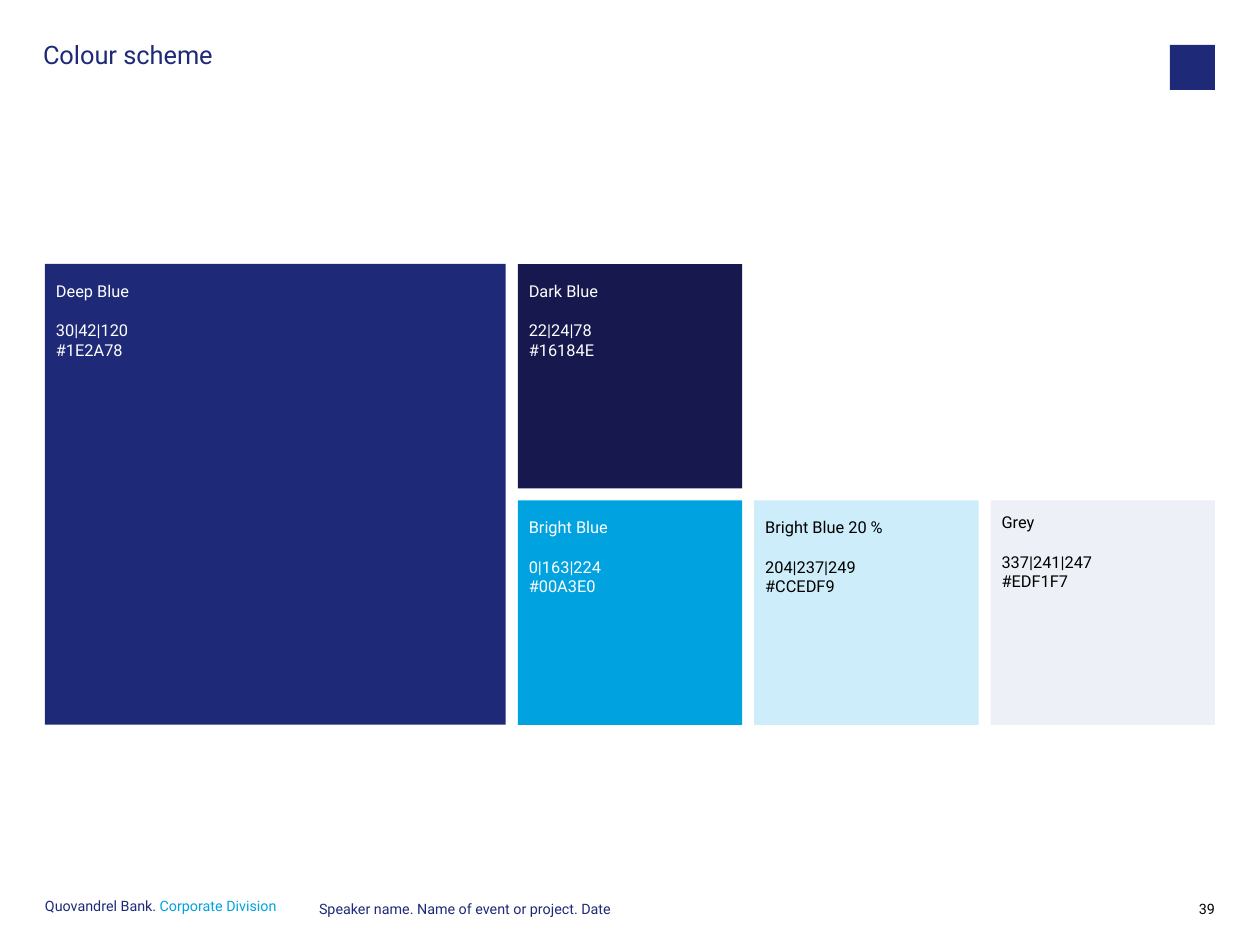
from pptx import Presentation
from pptx.dml.color import RGBColor
from pptx.enum.shapes import MSO_SHAPE
from pptx.enum.text import MSO_ANCHOR, MSO_AUTO_SIZE, PP_ALIGN
from pptx.util import Pt

RECTANGLE = MSO_SHAPE.RECTANGLE
TOP = MSO_ANCHOR.TOP
NO_AUTOFIT = MSO_AUTO_SIZE.NONE
LEFT, RIGHT = PP_ALIGN.LEFT, PP_ALIGN.RIGHT

DEEP_BLUE = RGBColor(0x1E, 0x2A, 0x78)
DARK_BLUE = RGBColor(0x16, 0x18, 0x4E)
BRIGHT_BLUE = RGBColor(0x00, 0xA3, 0xE0)
PALE_BLUE = RGBColor(0xCC, 0xED, 0xF9)
GREY = RGBColor(0xED, 0xF1, 0xF7)
WHITE = RGBColor(0xFF, 0xFF, 0xFF)
BLACK = RGBColor(0x00, 0x00, 0x00)

FONT = "Roboto"
EMU_PER_PX = 8000
SLIDE_WIDTH, SLIDE_HEIGHT = 1260, 945

TITLE = "Colour scheme"
TITLE_BOX = (43, 43, 1082, 70)
LOGO_BOX = (1170, 45, 45, 45)

# name, values, fill, text colour, column, row, cells per side, top inset
SWATCHES = [
    ("Deep Blue", ("30|42|120", "#1E2A78"), DEEP_BLUE, WHITE, 0, 0, 2, 17),
    ("Dark Blue", ("22|24|78", "#16184E"), DARK_BLUE, WHITE, 2, 0, 1, 17),
    ("Bright Blue", ("0|163|224", "#00A3E0"), BRIGHT_BLUE, WHITE, 2, 1, 1, 17),
    ("Bright Blue 20 %", ("204|237|249", "#CCEDF9"), PALE_BLUE, BLACK, 3, 1, 1, 17),
    ("Grey", ("337|241|247", "#EDF1F7"), GREY, BLACK, 4, 1, 1, 12),
]
GRID_LEFT, GRID_TOP, GRID_RIGHT = 45, 264, 1215
COLUMNS, GAP, SIDE_INSET = 5, 12, 11
CELL = (GRID_RIGHT - GRID_LEFT - GAP * (COLUMNS - 1)) / COLUMNS

# box, alignment, coloured runs
FOOTERS = [
    ((45, 900, 250, 23), LEFT,
     [("Quovandrel Bank. ", DEEP_BLUE), ("Corporate Division", BRIGHT_BLUE)]),
    ((319, 903, 617, 23), LEFT,
     [("Speaker name. Name of event or project. Date", DEEP_BLUE)]),
    ((1170, 903, 45, 23), RIGHT, [("39", BLACK)]),
]


def px(length):
    return round(length * EMU_PER_PX)


def place(shape, box):
    shape.left, shape.top, shape.width, shape.height = map(px, box)


def prepare_frame(shape, side=0, top=0):
    frame = shape.text_frame
    frame.word_wrap = True
    frame.auto_size = NO_AUTOFIT
    frame.vertical_anchor = TOP
    frame.margin_left = frame.margin_right = px(side)
    frame.margin_top = frame.margin_bottom = px(top)
    return frame


def add_run(paragraph, text, size, colour):
    run = paragraph.add_run()
    run.text = text
    run.font.name = FONT
    run.font.size = Pt(size)
    run.font.color.rgb = colour


def add_rectangle(slide, box, fill):
    shape = slide.shapes.add_shape(RECTANGLE, *map(px, box))
    shape.shadow.inherit = False
    shape.fill.solid()
    shape.fill.fore_color.rgb = fill
    shape.line.fill.background()
    return shape


def add_title(slide):
    title = slide.shapes.title
    place(title, TITLE_BOX)
    paragraph = prepare_frame(title).paragraphs[0]
    paragraph.alignment = LEFT
    paragraph.line_spacing = 0.9
    add_run(paragraph, TITLE, 16, DEEP_BLUE)


def add_swatch(slide, name, values, fill, colour, column, row, cells, top_inset):
    pitch = CELL + GAP
    side = cells * pitch - GAP
    box = (GRID_LEFT + column * pitch, GRID_TOP + row * pitch, side, side)
    frame = prepare_frame(add_rectangle(slide, box, fill), SIDE_INSET, top_inset)
    for index, text in enumerate((name, *values)):
        paragraph = frame.paragraphs[0] if index == 0 else frame.add_paragraph()
        paragraph.alignment = LEFT
        if index == 1:
            paragraph.space_before = Pt(12.4)
        add_run(paragraph, text, 10.3, colour)


def add_footer(slide, box, alignment, runs):
    text_box = slide.shapes.add_textbox(*map(px, box))
    paragraph = prepare_frame(text_box).paragraphs[0]
    paragraph.alignment = alignment
    paragraph.line_spacing = Pt(9)
    for text, colour in runs:
        add_run(paragraph, text, 9, colour)


def main():
    presentation = Presentation()
    presentation.slide_width = px(SLIDE_WIDTH)
    presentation.slide_height = px(SLIDE_HEIGHT)
    slide = presentation.slides.add_slide(presentation.slide_layouts[5])
    add_title(slide)
    add_rectangle(slide, LOGO_BOX, DEEP_BLUE)
    for swatch in SWATCHES:
        add_swatch(slide, *swatch)
    for footer in FOOTERS:
        add_footer(slide, *footer)
    presentation.save("out.pptx")


if __name__ == "__main__":
    main()
